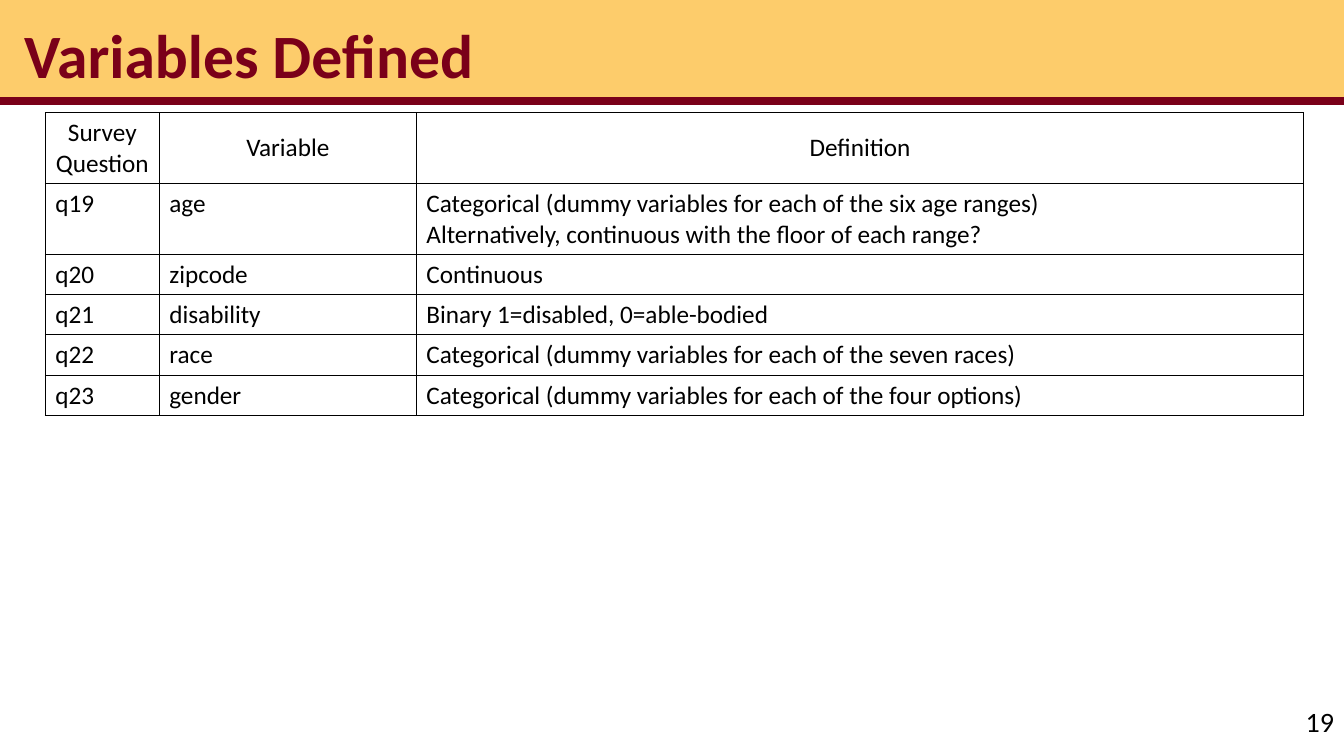
from dataclasses import dataclass

import lxml.etree
import pptx
import pptx.dml.color
import pptx.enum.shapes
import pptx.enum.text
import pptx.oxml.ns
import pptx.util

PX = 9144
SLIDE_WIDTH, SLIDE_HEIGHT = 1333, 750
BANNER_HEIGHT = 100
TITLE_ONLY = 5
FONT = "Calibri"

GOLD = pptx.dml.color.RGBColor(0xFD, 0xCC, 0x6B)
MAROON = pptx.dml.color.RGBColor(0x7A, 0x00, 0x19)
BLACK = pptx.dml.color.RGBColor(0x00, 0x00, 0x00)
WHITE = pptx.dml.color.RGBColor(0xFF, 0xFF, 0xFF)

ALIGN = pptx.enum.text.PP_ALIGN
ANCHOR = pptx.enum.text.MSO_ANCHOR


@dataclass(frozen=True)
class Box:
    left: int
    top: int
    width: int
    height: int

    def emu(self) -> list[int]:
        return [px * PX for px in (self.left, self.top, self.width, self.height)]


@dataclass(frozen=True)
class Variable:
    question: str
    name: str
    definition: str
    height: int = 40


TITLE_BOX = Box(14, 20, 1152, 80)
NUMBER_BOX = Box(1033, 689, 300, 53)
TABLE_LEFT, TABLE_TOP = 45, 112
COLUMN_WIDTHS = (113, 255, 880)

HEADING = Variable("Survey Question", "Variable", "Definition", 70)
VARIABLES = (
    Variable(
        "q19",
        "age",
        "Categorical (dummy variables for each of the six age ranges)\n"
        "Alternatively, continuous with the floor of each range?",
        70,
    ),
    Variable("q20", "zipcode", "Continuous"),
    Variable("q21", "disability", "Binary 1=disabled, 0=able-bodied"),
    Variable("q22", "race", "Categorical (dummy variables for each of the seven races)"),
    Variable("q23", "gender", "Categorical (dummy variables for each of the four options)"),
)


def write_text(frame, text: str, *, size: int, color=BLACK, bold: bool = False,
               align=ALIGN.LEFT, anchor=ANCHOR.TOP, spacing: float = 1.0) -> None:
    frame.word_wrap = True
    frame.vertical_anchor = anchor
    frame.text = text
    for paragraph in frame.paragraphs:
        paragraph.alignment = align
        paragraph.line_spacing = spacing
        for run in paragraph.runs:
            run.font.name = FONT
            run.font.size = pptx.util.Pt(size)
            run.font.bold = bold
            run.font.color.rgb = color


def draw_banner(slide) -> None:
    banner = slide.shapes.add_shape(
        pptx.enum.shapes.MSO_SHAPE.RECTANGLE, *Box(0, 0, SLIDE_WIDTH, BANNER_HEIGHT).emu())
    banner.shadow.inherit = False
    banner.fill.solid()
    banner.fill.fore_color.rgb = GOLD
    banner.line.fill.background()
    slide.shapes._spTree.insert(2, banner._element)


def draw_rule(slide) -> None:
    edge = BANNER_HEIGHT * PX
    rule = slide.shapes.add_connector(
        pptx.enum.shapes.MSO_CONNECTOR.STRAIGHT, 0, edge, SLIDE_WIDTH * PX, edge)
    rule.line.color.rgb = MAROON
    rule.line.width = pptx.util.Pt(6)
    lxml.etree.SubElement(rule._element.spPr, pptx.oxml.ns.qn("a:effectLst"))


def draw_title(slide) -> None:
    title = slide.shapes.title
    title.left, title.top, title.width, title.height = TITLE_BOX.emu()
    title.text_frame.auto_size = pptx.enum.text.MSO_AUTO_SIZE.NONE
    write_text(title.text_frame, "Variables Defined", size=44, color=MAROON,
               bold=True, spacing=0.9)


def draw_page_number(slide) -> None:
    number = slide.shapes.add_textbox(*NUMBER_BOX.emu())
    write_text(number.text_frame, "19", size=20, align=ALIGN.RIGHT, anchor=ANCHOR.MIDDLE)


def outline_cell(cell) -> None:
    properties = cell._tc.get_or_add_tcPr()
    for side in ("a:lnL", "a:lnR", "a:lnT", "a:lnB"):
        border = lxml.etree.SubElement(
            properties, pptx.oxml.ns.qn(side), w=str(pptx.util.Pt(1)))
        fill = lxml.etree.SubElement(border, pptx.oxml.ns.qn("a:solidFill"))
        lxml.etree.SubElement(fill, pptx.oxml.ns.qn("a:srgbClr"), val=str(BLACK))


def draw_variables(slide) -> None:
    entries = (HEADING, *VARIABLES)
    area = Box(TABLE_LEFT, TABLE_TOP, sum(COLUMN_WIDTHS),
               sum(entry.height for entry in entries))
    table = slide.shapes.add_table(len(entries), len(COLUMN_WIDTHS), *area.emu()).table
    table.first_row = False
    table.horz_banding = False
    for column, width in zip(table.columns, COLUMN_WIDTHS):
        column.width = width * PX
    for row, entry in zip(table.rows, entries):
        row.height = entry.height * PX
        heading = entry is HEADING
        for cell, text in zip(row.cells, (entry.question, entry.name, entry.definition)):
            outline_cell(cell)
            cell.fill.solid()
            cell.fill.fore_color.rgb = WHITE
            write_text(cell.text_frame, text, size=18,
                       align=ALIGN.CENTER if heading else ALIGN.LEFT)
            cell.vertical_anchor = ANCHOR.MIDDLE if heading else ANCHOR.TOP


def main() -> None:
    deck = pptx.Presentation()
    deck.slide_width = SLIDE_WIDTH * PX
    deck.slide_height = SLIDE_HEIGHT * PX
    slide = deck.slides.add_slide(deck.slide_layouts[TITLE_ONLY])
    draw_banner(slide)
    draw_title(slide)
    draw_page_number(slide)
    draw_rule(slide)
    draw_variables(slide)
    deck.save("out.pptx")


if __name__ == "__main__":
    main()
